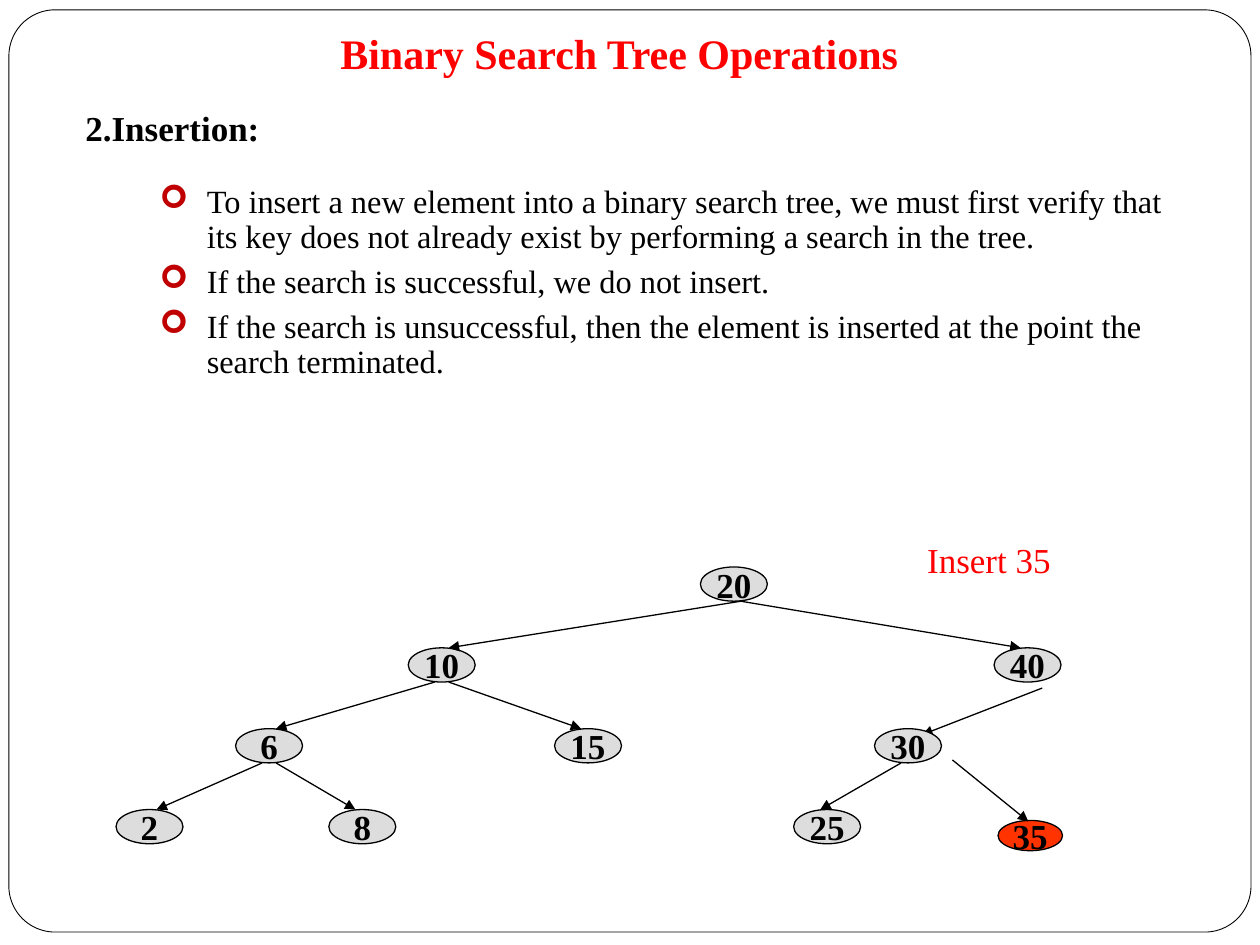
import pptx
import pptx.util
import pptx.dml.color
import pptx.enum.shapes
import pptx.enum.text
import pptx.oxml.ns
import lxml.etree
from dataclasses import dataclass

Cm = pptx.util.Cm
Pt = pptx.util.Pt
SHAPE = pptx.enum.shapes.MSO_SHAPE
ALIGN = pptx.enum.text.PP_ALIGN
ANCHOR = pptx.enum.text.MSO_ANCHOR


def rgb(value):
    return pptx.dml.color.RGBColor.from_string(value)


def add_xml(parent, tag, **attrs):
    return lxml.etree.SubElement(parent, pptx.oxml.ns.qn(tag), attrs)


@dataclass(frozen=True)
class Theme:
    font: str = "Times New Roman"
    ink: str = "000000"
    accent: str = "FF0000"
    bullet: str = "C00000"
    node: str = "DDDDDD"
    new_node: str = "FF3300"
    title: float = 24
    label: float = 20
    body: float = 18.5
    frame_line: float = 0.5
    tree_line: float = 0.75


class SlideBuilder:
    def __init__(self, slide, theme):
        self.slide = slide
        self.theme = theme

    def style(self, p, size, color, bold=False):
        p.font.name = self.theme.font
        p.font.size = Pt(size)
        p.font.bold = bold
        p.font.color.rgb = rgb(color)

    def outline(self, sp, width):
        sp.shadow.inherit = False
        sp.line.color.rgb = rgb(self.theme.ink)
        sp.line.width = Pt(width)

    def frame(self, x, y, w, h):
        sp = self.slide.shapes.add_shape(SHAPE.ROUNDED_RECTANGLE, Cm(x), Cm(y), Cm(w), Cm(h))
        sp.adjustments[0] = 0.05
        sp.fill.background()
        self.outline(sp, self.theme.frame_line)

    def text(self, x, y, w, h, text, size, color, bold=False, align=ALIGN.LEFT, wrap=True):
        tf = self.slide.shapes.add_textbox(Cm(x), Cm(y), Cm(w), Cm(h)).text_frame
        tf.word_wrap = wrap
        p = tf.paragraphs[0]
        p.text = text
        p.alignment = align
        self.style(p, size, color, bold)
        return tf

    def bullets(self, x, y, w, h, items):
        tf = self.slide.shapes.add_textbox(Cm(x), Cm(y), Cm(w), Cm(h)).text_frame
        tf.word_wrap = True
        for i, item in enumerate(items):
            p = tf.add_paragraph() if i else tf.paragraphs[0]
            p.text = item
            p.line_spacing = 0.9
            p.space_before = Pt(5.8)
            pPr = p._p.get_or_add_pPr()
            pPr.set("marL", str(Cm(0.95)))
            pPr.set("indent", str(-Cm(0.95)))
            add_xml(add_xml(pPr, "a:buClr"), "a:srgbClr", val=self.theme.bullet)
            add_xml(pPr, "a:buFont", typeface="Wingdings")
            add_xml(pPr, "a:buChar", char="➢")
            self.style(p, self.theme.body, self.theme.ink)

    def node(self, x, y, w, h, text, fill):
        sp = self.slide.shapes.add_shape(SHAPE.OVAL, Cm(x), Cm(y), Cm(w), Cm(h))
        sp.fill.solid()
        sp.fill.fore_color.rgb = rgb(fill)
        self.outline(sp, self.theme.tree_line)
        tf = sp.text_frame
        tf.word_wrap = False
        tf.vertical_anchor = ANCHOR.MIDDLE
        p = tf.paragraphs[0]
        p.text = text
        p.alignment = ALIGN.CENTER
        self.style(p, self.theme.label, self.theme.ink, True)

    def arrow(self, x1, y1, x2, y2):
        line = self.slide.shapes.add_connector(
            pptx.enum.shapes.MSO_CONNECTOR.STRAIGHT, Cm(x1), Cm(y1), Cm(x2), Cm(y2))
        line.line.color.rgb = rgb(self.theme.ink)
        line.line.width = Pt(self.theme.tree_line)
        add_xml(line.line._get_or_add_ln(), "a:tailEnd", type="triangle")
        add_xml(line._element.spPr, "a:effectLst")


NODE_W, NODE_H = 1.35, 0.69
TREE_TOP, LEVEL_STEP = 11.43, 1.63
OFFSET = 0.14

NODES = {
    "20": (14.12, 0), "40": (20.04, 1), "10": (8.23, 1),
    "6": (4.75, 2), "2": (2.34, 3), "8": (6.63, 3),
    "15": (11.18, 2), "30": (17.63, 2), "25": (16.0, 3),
}
EDGES = [
    ("20", "10", OFFSET, OFFSET), ("20", "40", OFFSET, -OFFSET),
    ("10", "6", -OFFSET, OFFSET), ("10", "15", OFFSET, -OFFSET),
    ("6", "2", -OFFSET, OFFSET), ("6", "8", OFFSET, -OFFSET),
    ("30", "25", -OFFSET, -OFFSET),
]
RULES = [
    "To insert a new element into a binary search tree, we must first verify that "
    "its key does not already exist by performing a search in the tree.",
    "If the search is successful, we do not insert.",
    "If the search is unsuccessful, then the element is inserted at the point the "
    "search terminated.",
]


def level_top(level):
    return TREE_TOP + level * LEVEL_STEP


def draw_tree(b):
    b.arrow(21.01, 13.87, 18.59, 14.81)
    for key, (x, level) in NODES.items():
        b.node(x, level_top(level), NODE_W, NODE_H, key, b.theme.node)
    for parent, child, start, end in EDGES:
        px, p_level = NODES[parent]
        cx, c_level = NODES[child]
        b.arrow(px + NODE_W / 2 + start, level_top(p_level) + NODE_H,
                cx + NODE_W / 2 + end, level_top(c_level))
    b.node(20.12, 16.54, 1.3, 0.61, "35", b.theme.new_node)
    b.arrow(19.2, 15.32, 20.73, 16.56)


def main():
    prs = pptx.Presentation()
    prs.slide_width, prs.slide_height = Cm(25.4), Cm(19.05)
    t = Theme()
    b = SlideBuilder(prs.slides.add_slide(prs.slide_layouts[6]), t)
    b.frame(0.18, 0.2, 25.04, 18.59)
    tf = b.text(1.47, 2.11, 4.8, 1.14, "2.Insertion:", t.label, t.ink, bold=True)
    tf.vertical_anchor = ANCHOR.BOTTOM
    tf.margin_bottom = Cm(0.25)
    b.bullets(2.97, 3.61, 21.11, 5.38, RULES)
    draw_tree(b)
    b.text(18.44, 10.74, 3.0, 1.12, "Insert 35", t.label, t.accent, wrap=False)
    b.text(1.27, 0.43, 22.43, 1.47, "Binary Search Tree Operations", t.title, t.accent,
           bold=True, align=ALIGN.CENTER)
    prs.save("out.pptx")


if __name__ == "__main__":
    main()
